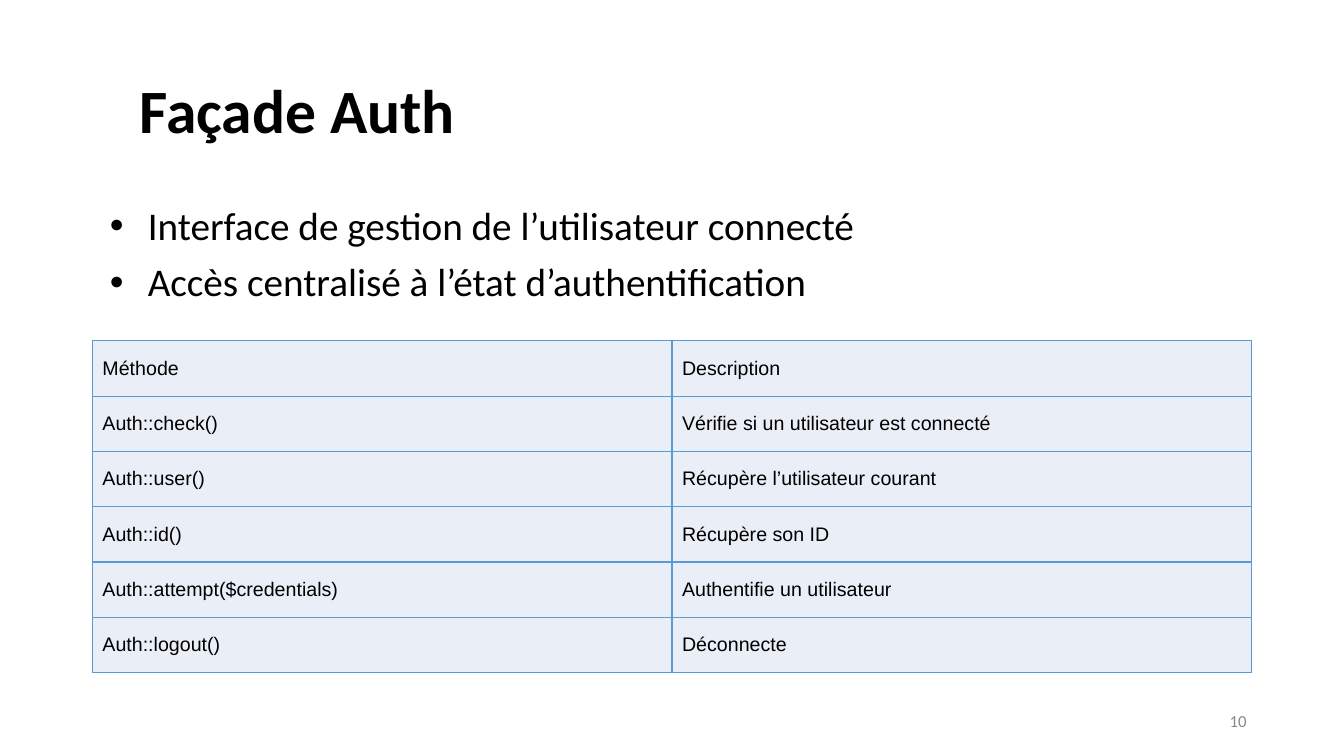
"""Build the slide on the Auth façade: title, two bullets and a table of methods."""
from dataclasses import dataclass

from lxml import etree
from pptx import Presentation
from pptx.dml.color import RGBColor
from pptx.enum.text import MSO_ANCHOR, PP_ALIGN
from pptx.oxml.ns import qn
from pptx.util import Pt

LEFT, RIGHT = PP_ALIGN.LEFT, PP_ALIGN.RIGHT
TOP, MIDDLE = MSO_ANCHOR.TOP, MSO_ANCHOR.MIDDLE

TITLE = "Façade Auth"
BULLETS = [
    "Interface de gestion de l’utilisateur connecté",
    "Accès centralisé à l’état d’authentification",
]
METHODS = [
    ("Méthode", "Description"),
    ("Auth::check()", "Vérifie si un utilisateur est connecté"),
    ("Auth::user()", "Récupère l’utilisateur courant"),
    ("Auth::id()", "Récupère son ID"),
    ("Auth::attempt($credentials)", "Authentifie un utilisateur"),
    ("Auth::logout()", "Déconnecte"),
]
PAGE_NUMBER = "10"


@dataclass(frozen=True)
class Theme:
    """Colours, fonts and type sizes of the slide."""
    ink: str = "000000"
    muted: str = "888888"
    cell: str = "EAEFF7"
    border: str = "5B9BD5"
    text_font: str = "Calibri"
    table_font: str = "Arial"
    title_size: float = 44
    bullet_size: float = 28
    table_size: float = 14
    number_size: float = 12


THEME = Theme()
PAGE_WIDTH, PAGE_HEIGHT = 960, 540
MARGIN = 66
CONTENT_WIDTH = PAGE_WIDTH - 2 * MARGIN
INSET = 3.6
TITLE_INDENT = 30
TABLE_TOP, ROW_HEIGHT = 243.5, 39.5
NUMBER_SIDE = 21


def place(shape, left, top, width, height):
    """Set the position and size of a shape in points."""
    shape.left, shape.top = Pt(left), Pt(top)
    shape.width, shape.height = Pt(width), Pt(height)


def write(frame, lines, *, size, font=THEME.text_font, color=THEME.ink, bold=False,
          align=LEFT, anchor=MIDDLE, spacing=1.0, gap=0, bullet=False):
    """Fill a text frame with one paragraph per line."""
    frame.vertical_anchor = anchor
    for index, line in enumerate(lines):
        para = frame.add_paragraph() if index else frame.paragraphs[0]
        if bullet:
            add_bullet(para)
        para.alignment = align
        para.line_spacing = spacing
        para.space_before = Pt(gap if index else 0)
        span = para.add_run()
        span.text = line
        span.font.name, span.font.size, span.font.bold = font, Pt(size), bold
        span.font.color.rgb = RGBColor.from_string(color)


def add_bullet(para):
    """Give a paragraph a hanging round bullet."""
    properties = para._p.get_or_add_pPr()
    properties.set("marL", str(Pt(36)))
    properties.set("indent", str(Pt(-27)))
    color = etree.SubElement(properties, qn("a:buClr"))
    etree.SubElement(color, qn("a:srgbClr"), val=THEME.ink)
    etree.SubElement(properties, qn("a:buFont"), typeface="Arial")
    etree.SubElement(properties, qn("a:buChar"), char="•")


def set_insets(frame, left=INSET):
    """Set the inner margins of a text frame and let it wrap."""
    frame.word_wrap = True
    frame.margin_left = Pt(left)
    frame.margin_top = frame.margin_right = frame.margin_bottom = Pt(INSET)


def add_text_box(page, bounds, lines, **text_format):
    """Add a text box with the given bounds and text."""
    box = page.shapes.add_textbox(*map(Pt, bounds))
    set_insets(box.text_frame)
    write(box.text_frame, lines, **text_format)


def style_cell(cell):
    """Draw the borders and the fill of a table cell."""
    properties = cell._tc.get_or_add_tcPr()
    for side in ("lnL", "lnR", "lnT", "lnB"):
        line = etree.SubElement(properties, qn(f"a:{side}"), w=str(Pt(1)))
        fill = etree.SubElement(line, qn("a:solidFill"))
        etree.SubElement(fill, qn("a:srgbClr"), val=THEME.border)
    cell.fill.solid()
    cell.fill.fore_color.rgb = RGBColor.from_string(THEME.cell)


def add_methods(page):
    """Add the table of methods."""
    rows, columns = len(METHODS), len(METHODS[0])
    bounds = (MARGIN, TABLE_TOP, CONTENT_WIDTH, rows * ROW_HEIGHT)
    table = page.shapes.add_table(rows, columns, *map(Pt, bounds)).table
    for row, texts in enumerate(METHODS):
        for column, text in enumerate(texts):
            cell = table.cell(row, column)
            style_cell(cell)
            cell.vertical_anchor = MIDDLE
            write(cell.text_frame, [text], size=THEME.table_size, font=THEME.table_font)


def main():
    """Build and save the deck."""
    deck = Presentation()
    deck.slide_width, deck.slide_height = Pt(PAGE_WIDTH), Pt(PAGE_HEIGHT)
    page = deck.slides.add_slide(deck.slide_layouts[5])

    title = page.shapes.title
    place(title, MARGIN, 28.8, CONTENT_WIDTH, 104.4)
    set_insets(title.text_frame, left=INSET + TITLE_INDENT)
    write(title.text_frame, [TITLE], size=THEME.title_size, bold=True, spacing=0.9)

    add_text_box(page, (MARGIN, 144, CONTENT_WIDTH, 342.7), BULLETS,
                 size=THEME.bullet_size, anchor=TOP, spacing=0.9, gap=10, bullet=True)
    add_text_box(page, (PAGE_WIDTH - MARGIN - NUMBER_SIDE, 504, NUMBER_SIDE, NUMBER_SIDE),
                 [PAGE_NUMBER], size=THEME.number_size, color=THEME.muted, align=RIGHT)
    add_methods(page)
    deck.save("out.pptx")


if __name__ == "__main__":
    main()
